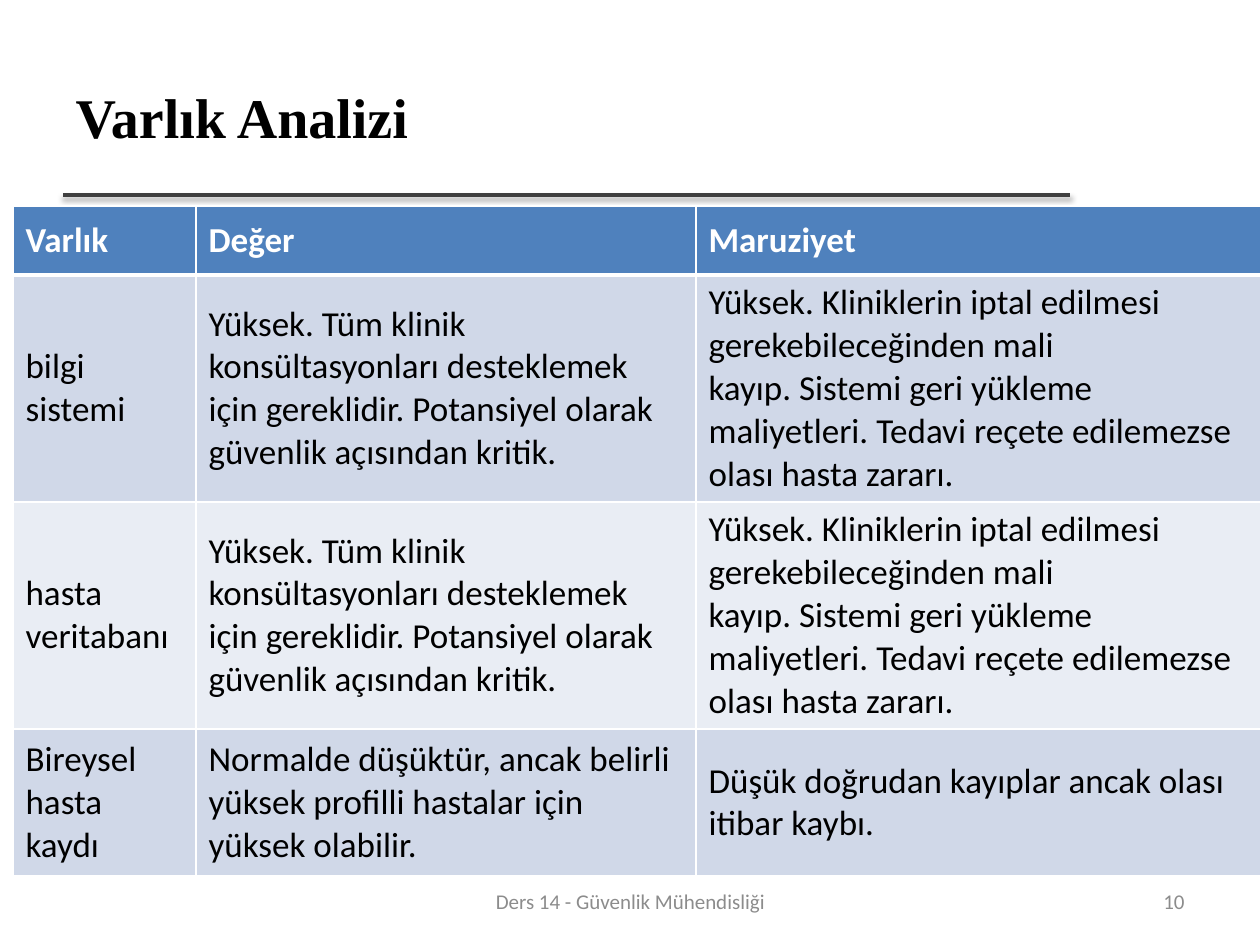
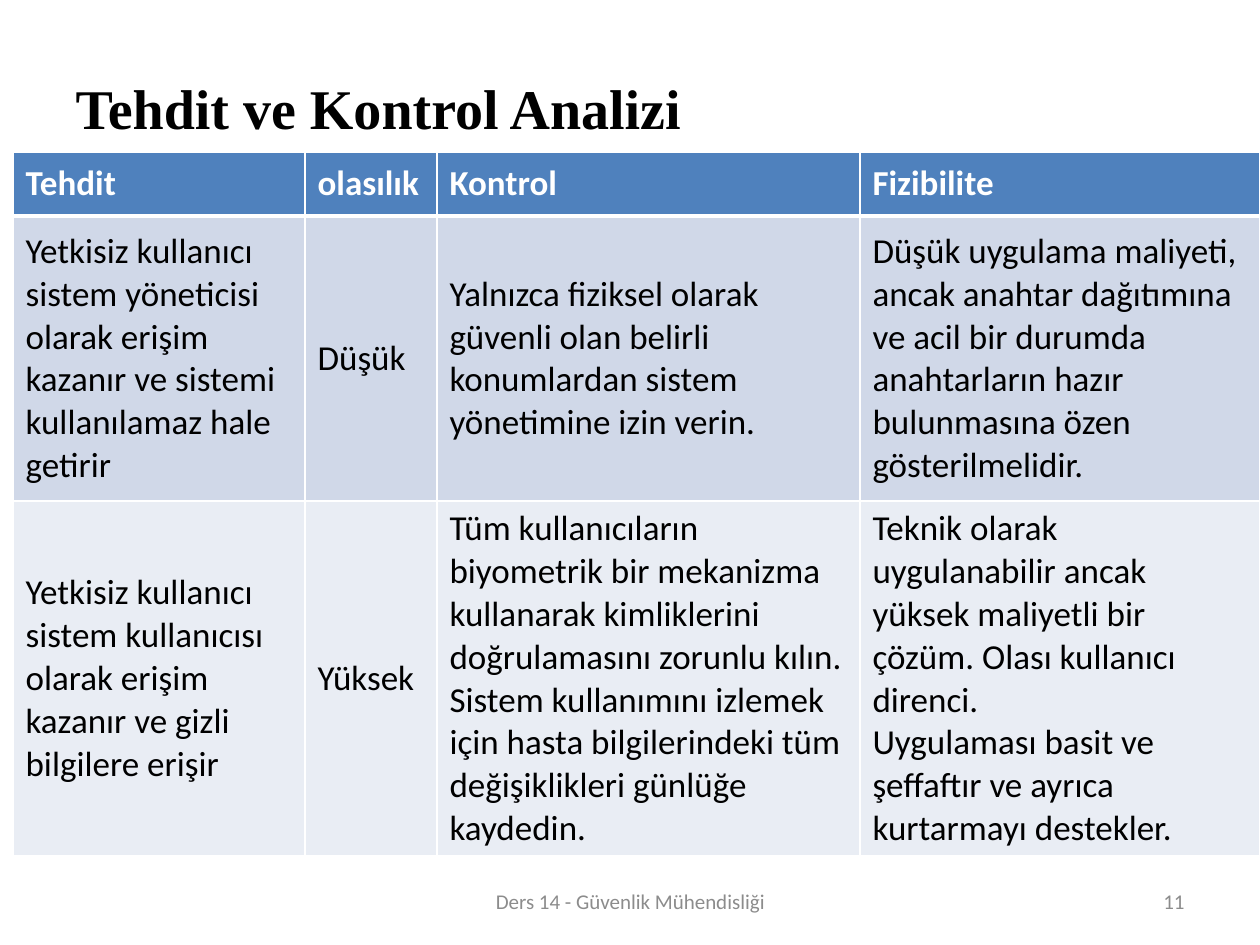
import lxml.etree
import pptx
import pptx.dml.color
import pptx.enum.shapes
import pptx.enum.text
import pptx.oxml
import pptx.oxml.ns
import pptx.util

RGBColor = pptx.dml.color.RGBColor
Align = pptx.enum.text.PP_ALIGN
Anchor = pptx.enum.text.MSO_ANCHOR

BLACK = RGBColor(0x00, 0x00, 0x00)
WHITE = RGBColor(0xFF, 0xFF, 0xFF)
GREY = RGBColor(0x8C, 0x8C, 0x8C)
RULE_GREY = RGBColor(0x40, 0x40, 0x40)
HEADER_BLUE = RGBColor(0x4F, 0x81, 0xBD)
BANDS = (RGBColor(0xD0, 0xD8, 0xE8), RGBColor(0xE9, 0xED, 0xF4))
HEADING_FONT = "Times New Roman"
BODY_FONT = "Calibri"
NO_BREAK_SPACE = chr(160)

FOOTER = "Ders 14 - Güvenlik Mühendisliği"
FIRST_NUMBER = 10
TABLE_LEFT = 13

CLINIC_VALUE = (
    "Yüksek. Tüm klinik konsültasyonları desteklemek için gereklidir. "
    "Potansiyel olarak güvenlik açısından kritik."
)
CLINIC_EXPOSURE = (
    "Yüksek. Kliniklerin iptal edilmesi gerekebileceğinden mali kayıp. "
    "Sistemi geri yükleme maliyetleri. "
    "Tedavi reçete edilemezse olası hasta zararı."
)

SLIDES = [
    {
        "title": "Varlık Analizi",
        "title_top": 38,
        "table_top": 206,
        "columns": (183, 500, 566),
        "rows": (69, 227, 227, 147),
        "cells": [
            ("Varlık", "Değer", "Maruziyet"),
            ("bilgi sistemi", CLINIC_VALUE, CLINIC_EXPOSURE),
            ("hasta veritabanı", CLINIC_VALUE, CLINIC_EXPOSURE),
            (
                "Bireysel hasta kaydı",
                "Normalde düşüktür, ancak belirli yüksek profilli hastalar için "
                "yüksek olabilir.",
                "Düşük doğrudan kayıplar ancak olası itibar kaybı.",
            ),
        ],
    },
    {
        "title": "Tehdit ve Kontrol Analizi",
        "title_top": 29,
        "table_top": 152,
        "columns": (292, 132, 423, 400),
        "rows": (64, 285, 355),
        "cells": [
            ("Tehdit", "olasılık", "Kontrol", "Fizibilite"),
            (
                "Yetkisiz kullanıcı sistem yöneticisi olarak erişim kazanır ve "
                "sistemi kullanılamaz hale getirir",
                "Düşük",
                "Yalnızca fiziksel olarak güvenli olan belirli konumlardan sistem "
                "yönetimine izin verin.",
                "Düşük uygulama maliyeti, ancak anahtar dağıtımına ve acil bir "
                "durumda anahtarların hazır bulunmasına özen gösterilmelidir.",
            ),
            (
                "Yetkisiz kullanıcı sistem kullanıcısı olarak erişim kazanır ve "
                "gizli bilgilere erişir",
                "Yüksek",
                "Tüm kullanıcıların biyometrik bir mekanizma kullanarak "
                "kimliklerini doğrulamasını zorunlu kılın.\n"
                "Sistem kullanımını izlemek için hasta bilgilerindeki tüm "
                "değişiklikleri günlüğe kaydedin.",
                "Teknik olarak uygulanabilir ancak yüksek maliyetli bir çözüm. "
                "Olası kullanıcı direnci.\n"
                "Uygulaması basit ve şeffaftır ve ayrıca kurtarmayı destekler.",
            ),
        ],
    },
]


def px(length):
    return pptx.util.Emu(round(length * 914400 / 126))


def format_text(frame, font_name, size, color, bold=False, align=Align.LEFT):
    for paragraph in frame.paragraphs:
        paragraph.alignment = align
        font = paragraph.font
        font.name, font.size, font.bold = font_name, pptx.util.Pt(size), bold
        font.color.rgb = color


def add_title(slide, text, top):
    title = slide.shapes.title
    title.left, title.top, title.width, title.height = map(px, (63, top, 1006, 157))
    title.text_frame.text = text
    title.text_frame.vertical_anchor = Anchor.MIDDLE
    format_text(title.text_frame, HEADING_FONT, 32, BLACK, bold=True)


def add_footer_text(slide, text, left, width, align):
    box = slide.shapes.add_textbox(px(left), px(876), px(width), px(50))
    frame = box.text_frame
    frame.word_wrap = True
    frame.vertical_anchor = Anchor.MIDDLE
    frame.text = text
    format_text(frame, BODY_FONT, 12, GREY, align=align)


def add_title_rule(slide):
    """Draw the shadowed rule and move it to the layout the slides share."""
    rule = slide.shapes.add_connector(
        pptx.enum.shapes.MSO_CONNECTOR.STRAIGHT, px(63), px(195), px(1070), px(195)
    )
    rule.line.color.rgb = RULE_GREY
    rule.line.width = pptx.util.Pt(2)
    effects = lxml.etree.SubElement(
        rule.element.spPr, pptx.oxml.ns.qn("a:effectLst")
    )
    effects.append(pptx.oxml.parse_xml(
        f'<a:outerShdw {pptx.oxml.ns.nsdecls("a")} blurRad="40000" dist="20000" '
        'dir="5400000" rotWithShape="0"><a:srgbClr val="000000">'
        '<a:alpha val="38000"/></a:srgbClr></a:outerShdw>'
    ))
    slide.slide_layout.shapes.element.append(rule.element)


def add_borders(cell, bottom_width):
    properties = cell._tc.get_or_add_tcPr()
    for side, width in (("L", 1), ("R", 1), ("T", 1), ("B", bottom_width)):
        properties.append(pptx.oxml.parse_xml(
            f'<a:ln{side} {pptx.oxml.ns.nsdecls("a")} w="{pptx.util.Pt(width)}">'
            f'<a:solidFill><a:srgbClr val="{WHITE}"/></a:solidFill></a:ln{side}>'
        ))


def add_analysis_table(slide, content):
    columns, rows = content["columns"], content["rows"]
    table = slide.shapes.add_table(
        len(rows), len(columns), px(TABLE_LEFT), px(content["table_top"]),
        px(sum(columns)), px(sum(rows)),
    ).table
    for column, width in zip(table.columns, columns):
        column.width = px(width)
    for row_index, (row, height) in enumerate(zip(table.rows, rows)):
        row.height = px(height)
        is_header = row_index == 0
        for cell, text in zip(row.cells, content["cells"][row_index]):
            cell.text = text.replace(". ", "." + NO_BREAK_SPACE)
            cell.vertical_anchor = Anchor.MIDDLE
            add_borders(cell, 3 if is_header else 1)
            cell.fill.solid()
            cell.fill.fore_color.rgb = (
                HEADER_BLUE if is_header else BANDS[(row_index - 1) % 2]
            )
            format_text(cell.text_frame, BODY_FONT, 20,
                        WHITE if is_header else BLACK, bold=is_header)


def main():
    presentation = pptx.Presentation()
    presentation.slide_width, presentation.slide_height = px(1260), px(945)
    title_only = presentation.slide_layouts[5]
    for number, content in enumerate(SLIDES, FIRST_NUMBER):
        slide = presentation.slides.add_slide(title_only)
        if number == FIRST_NUMBER:
            add_title_rule(slide)
        add_title(slide, content["title"], content["title_top"])
        add_footer_text(slide, FOOTER, 431, 399, Align.CENTER)
        add_footer_text(slide, str(number), 903, 294, Align.RIGHT)
        add_analysis_table(slide, content)
    presentation.save("out.pptx")


if __name__ == "__main__":
    main()
